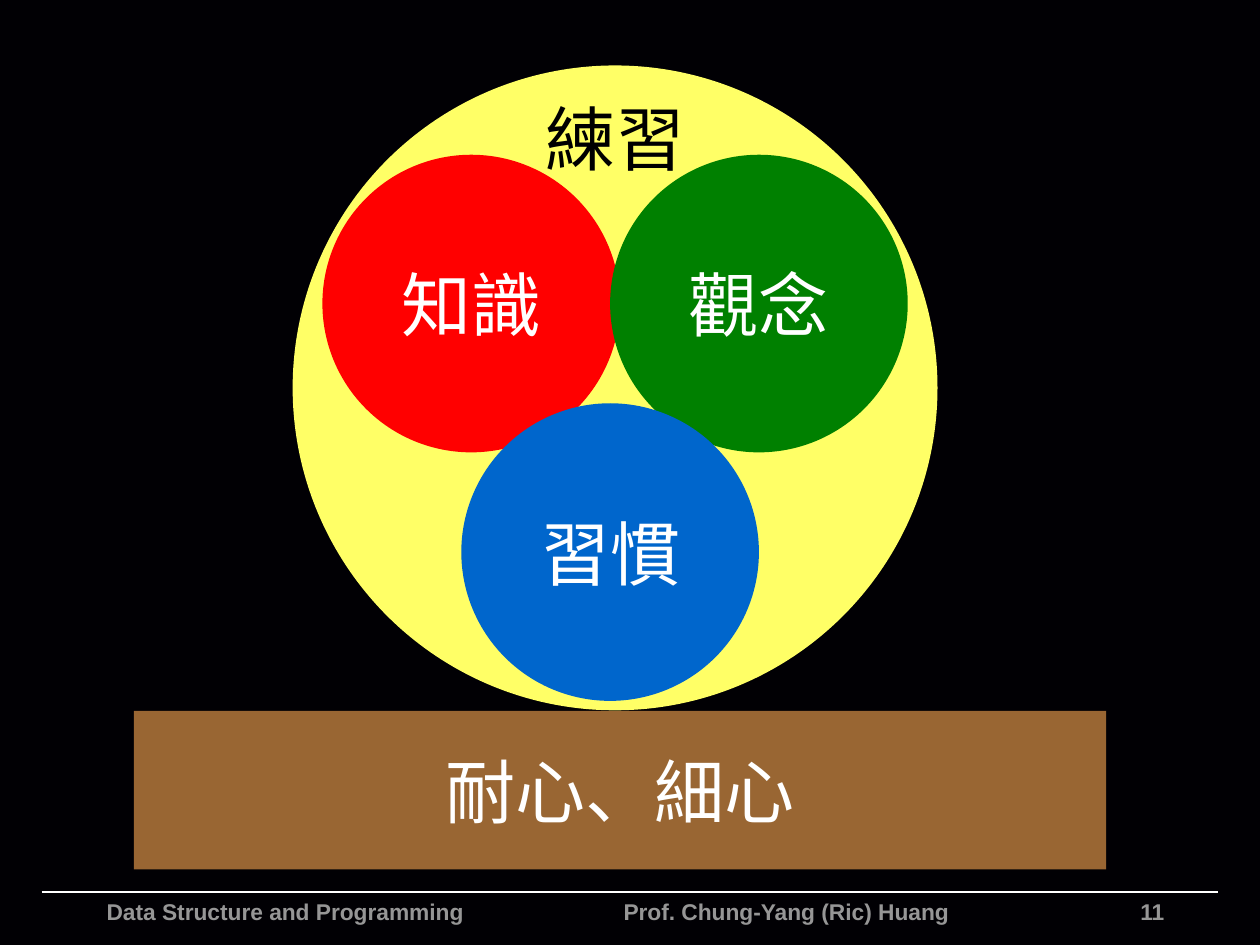
from pptx import Presentation
from pptx.dml.color import RGBColor
from pptx.enum.shapes import MSO_CONNECTOR, MSO_SHAPE
from pptx.enum.text import MSO_ANCHOR, PP_ALIGN
from pptx.oxml.ns import qn
from pptx.util import Cm, Pt
from lxml import etree

OVAL, RECT = MSO_SHAPE.OVAL, MSO_SHAPE.RECTANGLE
STRAIGHT = MSO_CONNECTOR.STRAIGHT
LEFT, MID, RIGHT = PP_ALIGN.LEFT, PP_ALIGN.CENTER, PP_ALIGN.RIGHT
TOP, CENTER = MSO_ANCHOR.TOP, MSO_ANCHOR.MIDDLE

NIGHT = RGBColor(0x01, 0x00, 0x04)
WHITE = RGBColor(0xFF, 0xFF, 0xFF)
BLACK = RGBColor(0x00, 0x00, 0x00)
GRAY = RGBColor(0x96, 0x96, 0x96)
YELLOW = RGBColor(0xFF, 0xFF, 0x66)
RED = RGBColor(0xFF, 0x00, 0x00)
GREEN = RGBColor(0x00, 0x80, 0x00)
BLUE = RGBColor(0x00, 0x66, 0xCC)
BROWN = RGBColor(0x99, 0x66, 0x33)


class Board:
    font = "Arial"
    big, small = Pt(40), Pt(13)

    def __init__(self, slide):
        self.slide = slide
        fill = slide.background.fill
        fill.solid()
        fill.fore_color.rgb = NIGHT

    def letter(self, frame, text, size, color, align, anchor, bold=False):
        frame.word_wrap = True
        frame.vertical_anchor = anchor
        frame.text = text
        para = frame.paragraphs[0]
        para.alignment = align
        font = para.runs[0].font
        font.name, font.size, font.bold = self.font, size, bold
        font.color.rgb = color

    def shape(self, kind, x, y, w, h, color, text=""):
        item = self.slide.shapes.add_shape(kind, Cm(x), Cm(y), Cm(w), Cm(h))
        item.shadow.inherit = False
        item.fill.solid()
        item.fill.fore_color.rgb = color
        item.line.fill.background()
        if text:
            frame = item.text_frame
            frame.margin_left = frame.margin_right = Cm(0.13)
            frame.margin_top = frame.margin_bottom = Cm(0.13)
            self.letter(frame, text, self.big, WHITE, MID, CENTER)

    def label(self, x, y, w, h, text, color):
        box = self.slide.shapes.add_textbox(Cm(x), Cm(y), Cm(w), Cm(h))
        self.letter(box.text_frame, text, self.big, color, MID, CENTER)

    def foot(self, x, w, text, align=LEFT):
        box = self.slide.shapes.add_textbox(Cm(x), Cm(17.98), Cm(w), Cm(1.07))
        self.letter(box.text_frame, text, self.small, GRAY, align, TOP, True)

    def rule(self, x, y, end):
        line = self.slide.shapes.add_connector(
            STRAIGHT, Cm(x), Cm(y), Cm(end), Cm(y))
        line.line.color.rgb = WHITE
        line.line.width = Pt(1)
        etree.SubElement(line._element.spPr, qn("a:effectLst"))


def main():
    deck = Presentation()
    deck.slide_width, deck.slide_height = Cm(25.4), Cm(19.05)
    board = Board(deck.slides.add_slide(deck.slide_layouts[6]))

    # Footer
    board.rule(0.84, 17.98, 24.56)
    board.foot(1.9, 9, "Data Structure and Programming")
    board.foot(12.32, 8, "Prof. Chung-Yang (Ric) Huang")
    board.foot(21.7, 2.02, "11", RIGHT)

    # Practice surrounds everything
    board.shape(OVAL, 5.9, 1.32, 13, 13, YELLOW)
    board.label(9.4, 1.77, 6, 2, "練習", BLACK)

    # Three inner circles
    for x, y, color, text in (
        (6.5, 3.12, RED, "知識"),
        (12.3, 3.12, GREEN, "觀念"),
        (9.3, 8.13, BLUE, "習慣"),
    ):
        board.shape(OVAL, x, y, 6, 6, color, text)

    # Base
    board.shape(RECT, 2.7, 14.33, 19.6, 3.2, BROWN, "耐心、細心")

    deck.save("out.pptx")


if __name__ == "__main__":
    main()
